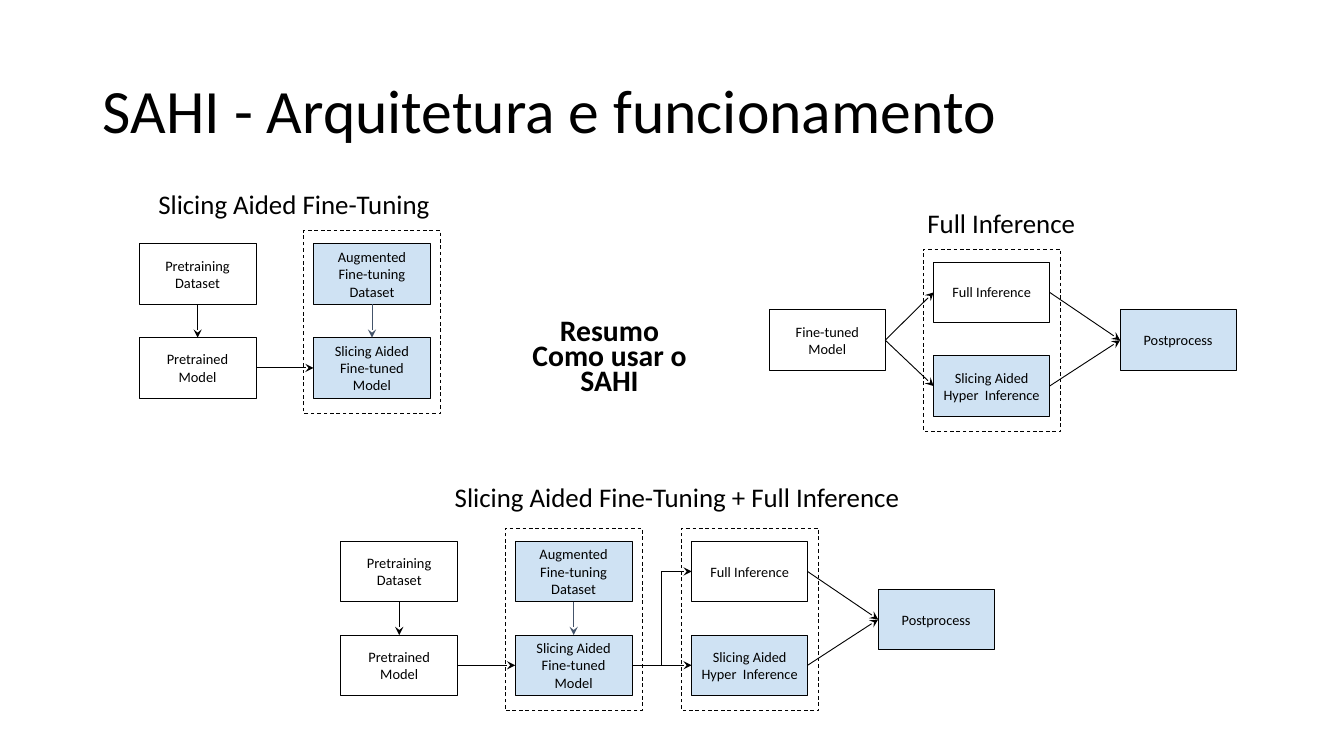
from lxml import etree
from pptx import Presentation
from pptx.dml.color import RGBColor
from pptx.enum.dml import MSO_LINE
from pptx.enum.shapes import MSO_CONNECTOR, MSO_SHAPE
from pptx.enum.text import MSO_ANCHOR, MSO_AUTO_SIZE, PP_ALIGN
from pptx.oxml.ns import qn
from pptx.util import Inches, Pt

RECTANGLE = MSO_SHAPE.RECTANGLE
STRAIGHT, ELBOW = MSO_CONNECTOR.STRAIGHT, MSO_CONNECTOR.ELBOW
DASH = MSO_LINE.DASH
TOP, MIDDLE = MSO_ANCHOR.TOP, MSO_ANCHOR.MIDDLE
LEFT, CENTER = PP_ALIGN.LEFT, PP_ALIGN.CENTER
COLORS = {name: RGBColor.from_string(value) for name, value in {
    "black": "000000", "white": "FFFFFF", "blue": "CFE2F3", "slate": "44546A",
}.items()}
ABOVE, BEFORE, BELOW, AFTER = range(4)
LINE_WIDTH = 0.66
STAGE_HEIGHT, ROW_STEP = 0.6, 0.93
FRAME_WIDTH, FRAME_HEIGHT = 1.36, 1.81
FRAME_SIDE, FRAME_TOP = 0.1, 0.13

deck = Presentation()
deck.slide_width, deck.slide_height = Inches(13.33), Inches(7.5)
page = deck.slides.add_slide(deck.slide_layouts[5])


def write(box, text, size, margins, align=CENTER, anchor=TOP, spacing=1.0, bold=False):
    frame = box.text_frame
    frame.text = text
    left, top, right, bottom = (Inches(margin) for margin in margins)
    frame_format = {
        "word_wrap": True, "auto_size": MSO_AUTO_SIZE.NONE, "vertical_anchor": anchor,
        "margin_left": left, "margin_top": top, "margin_right": right, "margin_bottom": bottom,
    }
    for name, value in frame_format.items():
        setattr(frame, name, value)
    para = frame.paragraphs[0]
    para.alignment, para.line_spacing = align, spacing
    span = para.runs[0]
    for name, value in {"name": "Calibri", "size": Pt(size), "bold": bold}.items():
        setattr(span.font, name, value)
    span.font.color.rgb = COLORS["black"]


def link(start, start_site, end, end_site, color="black", kind=STRAIGHT, width=LINE_WIDTH):
    arrow = page.shapes.add_connector(kind, 0, 0, 0, 0)
    arrow.begin_connect(start, start_site)
    arrow.end_connect(end, end_site)
    arrow.line.color.rgb = COLORS[color]
    arrow.line.width = Pt(width)
    outline = arrow.line._get_or_add_ln()
    etree.SubElement(outline, qn("a:tailEnd"), type="stealth")
    etree.SubElement(arrow._element.spPr, qn("a:effectLst"))


title = page.shapes.title
title.left, title.top, title.width, title.height = map(Inches, (0.92, 0.4, 11.5, 1.45))
write(title, "SAHI - Arquitetura e funcionamento", 44, (0.1, 0.05, 0.1, 0.05),
      align=LEFT, anchor=MIDDLE, spacing=0.9)

captions = [
    ("Resumo Como usar o SAHI", 4.96, 3.14, 1.98, 0.99, 21.2, True),
    ("Slicing Aided Fine-Tuning", 1.18, 1.9, 3.28, 0.44, 19.2, False),
    ("Full Inference", 8.73, 2.09, 2.21, 0.44, 19.2, False),
    ("Slicing Aided Fine-Tuning + Full Inference", 3.38, 4.81, 6.48, 0.44, 19.2, False),
]
for text, left, top, width, height, size, bold in captions:
    caption = page.shapes.add_textbox(*map(Inches, (left, top, width, height)))
    write(caption, text, size, (0.29, 0.05, 0.1, 0.05), spacing=0.7, bold=bold)

tuning_stages = [
    ("Pretraining Dataset", 0, 0, "white"),
    ("Augmented Fine-tuning Dataset", 1.73, 0, "blue"),
    ("Pretrained Model", 0, ROW_STEP, "white"),
    ("Slicing Aided Fine-tuned Model", 1.73, ROW_STEP, "blue"),
]
inference_stages = [
    ("Full Inference", 0, 0, "white"),
    ("Slicing Aided Hyper  Inference", 0, ROW_STEP, "blue"),
    ("Postprocess", 1.85, ROW_STEP / 2 + 0.01, "blue"),
]
model_stage = [("Fine-tuned Model", -1.63, ROW_STEP / 2 + 0.01, "white")]

flows = [
    (1.38, 2.42, 1.73, 1.16, 10.3, tuning_stages),
    (9.26, 2.6, 0, 1.15, 10.2, inference_stages + model_stage),
    (3.38, 5.37, 1.73, 1.16, 10.3, tuning_stages),
    (6.86, 5.37, 0, 1.15, 10.2, inference_stages),
]
drawn_flows = []
for left, top, frame_column, stage_width, size, stages in flows:
    frame = page.shapes.add_shape(
        RECTANGLE, Inches(left + frame_column - FRAME_SIDE), Inches(top - FRAME_TOP),
        Inches(FRAME_WIDTH), Inches(FRAME_HEIGHT))
    frame.shadow.inherit = False
    frame.fill.background()
    frame.line.color.rgb = COLORS["black"]
    frame.line.width = Pt(LINE_WIDTH)
    frame.line.dash_style = DASH

    boxes = []
    for text, column, row, color in stages:
        box = page.shapes.add_shape(
            RECTANGLE, Inches(left + column), Inches(top + row),
            Inches(stage_width), Inches(STAGE_HEIGHT))
        box.shadow.inherit = False
        box.fill.solid()
        box.fill.fore_color.rgb = COLORS[color]
        box.line.color.rgb = COLORS["black"]
        box.line.width = Pt(LINE_WIDTH)
        write(box, text, size, (0.09,) * 4, anchor=MIDDLE)
        boxes.append(box)
    drawn_flows.append(boxes)

tuning, inference, full_tuning, full_inference = drawn_flows
for pretraining, augmented, pretrained, tuned in (tuning, full_tuning):
    link(pretraining, BELOW, pretrained, ABOVE)
    link(augmented, BELOW, tuned, ABOVE, color="slate")
    link(pretrained, AFTER, tuned, BEFORE)

for full, sliced, postprocess in (inference[:3], full_inference):
    for source in (full, sliced):
        link(source, AFTER, postprocess, BEFORE)

for target in inference[:2]:
    link(inference[3], AFTER, target, BEFORE)

for target, kind in zip(full_inference[:2], (ELBOW, STRAIGHT)):
    link(full_tuning[3], AFTER, target, BEFORE, kind=kind, width=0.75)

deck.save("out.pptx")
